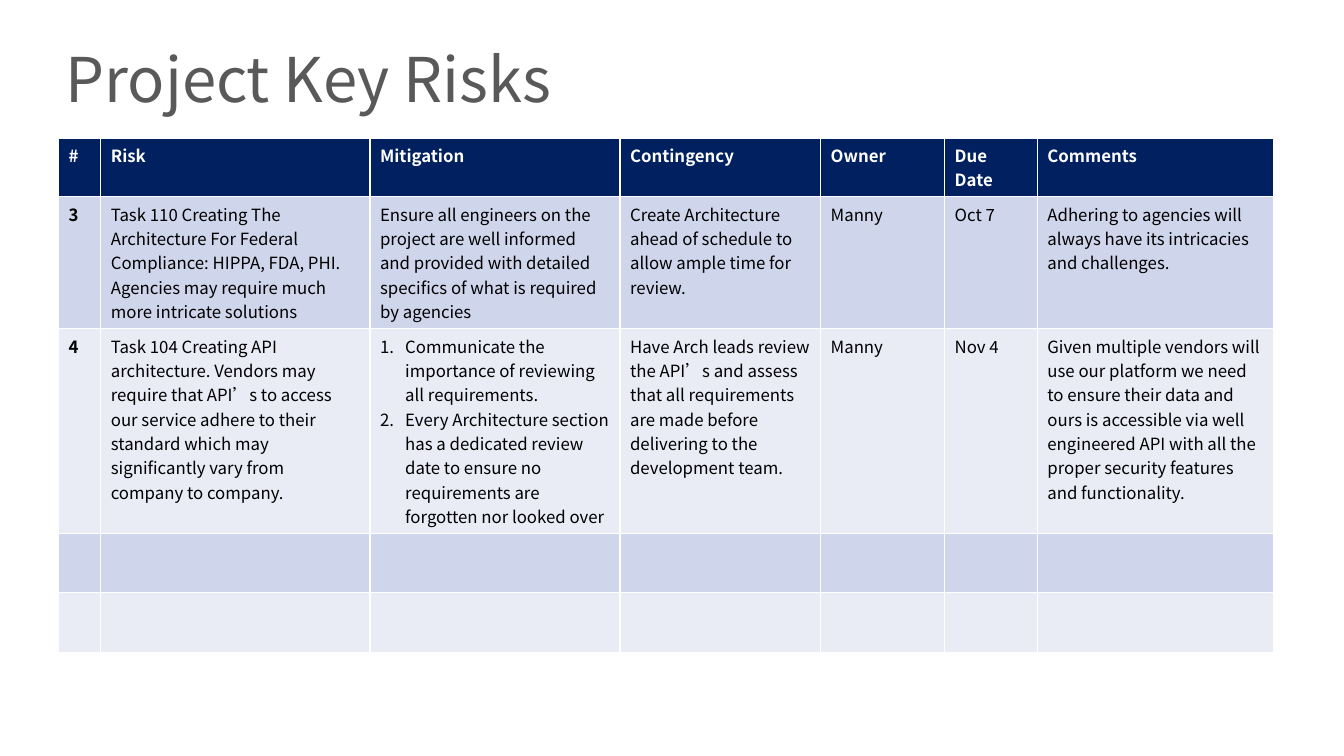
from dataclasses import dataclass

from lxml import etree
from pptx import Presentation
from pptx.dml.color import RGBColor
from pptx.enum.text import MSO_ANCHOR
from pptx.oxml.ns import qn
from pptx.util import Emu, Pt

MIDDLE = MSO_ANCHOR.MIDDLE
SCALE = 9144  # EMU in one px, 100 px to the inch


@dataclass(frozen=True)
class Theme:
    face: str = "Noto Sans CJK SC"
    title: str = "595959"
    head: str = "002060"
    bands: tuple[str, str] = ("CFD5EA", "E9EBF5")
    white: str = "FFFFFF"
    ink: str = "000000"
    big: int = 44
    small: int = 12


@dataclass(frozen=True)
class Column:
    head: str
    width: int


@dataclass(frozen=True)
class Risk:
    height: int
    cells: tuple[str, ...] = ("",) * 7


THEME = Theme()
HEAD = 58  # height of the header row

COLUMNS = (
    Column("#", 42),
    Column("Risk", 267),
    Column("Mitigation", 248),
    Column("Contingency", 199),
    Column("Owner", 123),
    Column("Due Date", 92),
    Column("Comments", 234),
)

# A cell with several lines becomes a numbered list
RISKS = (
    Risk(131, (
        "3",
        "Task 110 Creating The Architecture For Federal Compliance: HIPPA, FDA, PHI. "
        "Agencies may require much more intricate solutions",
        "Ensure all engineers on the project are well informed and provided with "
        "detailed specifics of what is required by agencies",
        "Create Architecture ahead of schedule to allow ample time for review.",
        "Manny",
        "Oct 7",
        "Adhering to agencies will always have its intricacies and challenges.",
    )),
    Risk(203, (
        "4",
        "Task 104 Creating API architecture. Vendors may require that API’s to access "
        "our service adhere to their standard which may significantly vary from "
        "company to company.",
        "Communicate the importance of reviewing all requirements.\n"
        "Every Architecture section has a dedicated review date to ensure no "
        "requirements are forgotten nor looked over",
        "Have Arch leads review the API’s and assess that all requirements are made "
        "before delivering to the development team.",
        "Manny",
        "Nov 4",
        "Given multiple vendors will use our platform we need to ensure their data "
        "and ours is accessible via well engineered API with all the proper security "
        "features and functionality.",
    )),
    Risk(59),
    Risk(59),
)


def px(size: int) -> Emu:
    return Emu(size * SCALE)


def style(para, size: int, color: str, bold: bool = False) -> None:
    font = para.font
    font.name, font.size, font.bold = THEME.face, Pt(size), bold
    font.color.rgb = RGBColor.from_string(color)
    props = para._p.pPr.find(qn("a:defRPr"))
    etree.SubElement(props, qn("a:ea"), typeface=THEME.face)


def number(para) -> None:
    props = para._p.get_or_add_pPr()
    props.set("marL", str(px(25)))
    props.set("indent", str(px(-26)))
    props.insert(0, etree.Element(qn("a:buAutoNum"), type="arabicPeriod"))


def border(cell) -> None:
    props = cell._tc.get_or_add_tcPr()
    for side in "LRTB":
        line = etree.SubElement(props, qn(f"a:ln{side}"), w=str(Pt(1)))
        fill = etree.SubElement(line, qn("a:solidFill"))
        etree.SubElement(fill, qn("a:srgbClr"), val=THEME.white)


def draw_cell(cell, text: str, back: str, color: str, bold: bool) -> None:
    border(cell)
    cell.fill.solid()
    cell.fill.fore_color.rgb = RGBColor.from_string(back)
    if not text:
        return
    cell.text = text
    paras = cell.text_frame.paragraphs
    for para in paras:
        style(para, THEME.small, color, bold)
        if len(paras) > 1:
            number(para)


def draw_title(slide, text: str) -> None:
    box = slide.shapes.add_textbox(px(57), px(26), px(1093), px(119))
    frame = box.text_frame
    frame.word_wrap = True
    frame.vertical_anchor = MIDDLE
    frame.margin_left = frame.margin_right = px(8)
    frame.margin_top = frame.margin_bottom = 0
    para = frame.paragraphs[0]
    para.text = text
    para.line_spacing = 0.75
    style(para, THEME.big, THEME.title)


def draw_table(slide) -> None:
    width = sum(col.width for col in COLUMNS)
    height = HEAD + sum(risk.height for risk in RISKS)
    shape = slide.shapes.add_table(
        len(RISKS) + 1, len(COLUMNS), px(58), px(137), px(width), px(height))
    table = shape.table

    # Header row
    table.rows[0].height = px(HEAD)
    for x, col in enumerate(COLUMNS):
        table.columns[x].width = px(col.width)
        draw_cell(table.cell(0, x), col.head, THEME.head, THEME.white, True)

    # Risk rows in alternating bands
    for y, risk in enumerate(RISKS):
        table.rows[y + 1].height = px(risk.height)
        for x, text in enumerate(risk.cells):
            draw_cell(table.cell(y + 1, x), text, THEME.bands[y % 2], THEME.ink, x == 0)


def main() -> None:
    deck = Presentation()
    deck.slide_width, deck.slide_height = px(1333), px(750)
    slide = deck.slides.add_slide(deck.slide_layouts[6])
    draw_title(slide, "Project Key Risks")
    draw_table(slide)
    deck.save("out.pptx")


if __name__ == "__main__":
    main()
